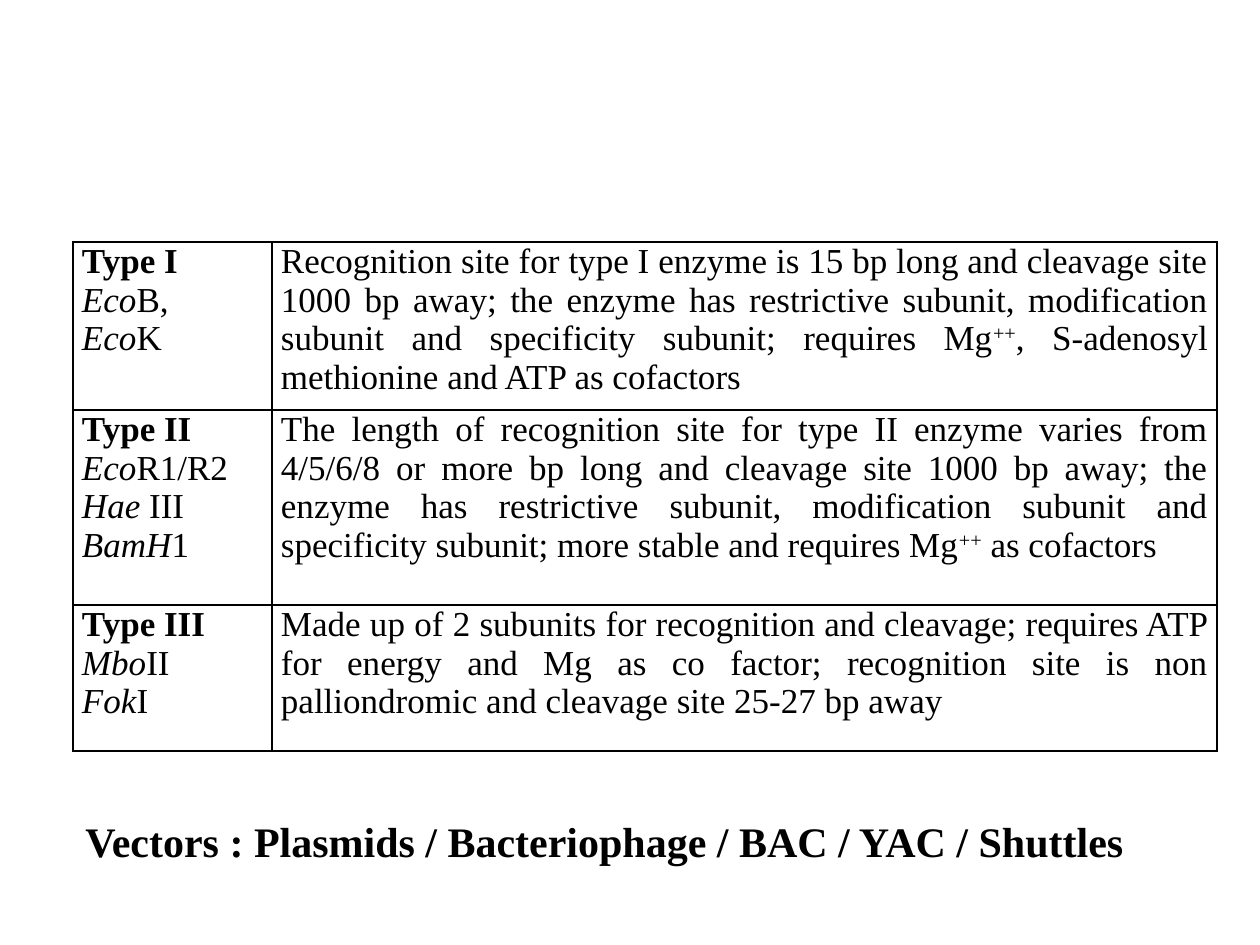
from lxml import etree
from pptx import Presentation
from pptx import util as u
from pptx.dml.color import RGBColor
from pptx.enum import text
from pptx.oxml.ns import qn

COLORS = {"ink": "000000"}
FONT = "Times New Roman"
PX = 914400 / 126

# Each paragraph is a list of (words, style) runs.
ENZYMES = [
    ([[("Type I", "bold")],
      [("Eco", "italic"), ("B, ", "")],
      [("Eco", "italic"), ("K", "")]],
     [[("Recognition site for type I enzyme is 15 bp long and cleavage site 1000 bp away; "
        "the enzyme has restrictive subunit, modification subunit and specificity subunit; "
        "requires Mg", ""), ("++", "super"),
       (", S-adenosyl methionine and ATP as cofactors", "")]]),
    ([[("Type II", "bold")],
      [("Eco", "italic"), ("R1/R2", "")],
      [("Hae", "italic"), (" III", "")],
      [("BamH", "italic"), ("1", "")]],
     [[("The length of recognition site for type II enzyme varies from 4/5/6/8 or more bp long "
        "and cleavage site 1000 bp away; the enzyme has restrictive subunit, modification "
        "subunit and specificity subunit; more stable and requires Mg", ""), ("++", "super"),
       (" as cofactors", "")]]),
    ([[("Type III", "bold")],
      [("Mbo", "italic"), ("II", "")],
      [("Fok", "italic"), ("I", "")]],
     [[("Made up of 2 subunits for recognition and cleavage; requires ATP for energy and Mg "
        "as co factor; recognition site is non palliondromic and cleavage site 25-27 bp away",
        "")]]),
]
VECTORS = [[("Vectors : Plasmids / Bacteriophage / BAC / YAC / Shuttles", "bold")]]

LEFT, TABLE_TOP = 73, 242
COL_WIDTHS = [199, 945]
ROW_HEIGHTS = [168, 195, 146]
VECTORS_BOX = (73, 809, 1134, 64)


def px(n):
    return u.Emu(round(n * PX))


def write(tf, paragraphs, size=20, align=None):
    for i, runs in enumerate(paragraphs):
        p = tf.paragraphs[0] if i == 0 else tf.add_paragraph()
        p.alignment = align
        for words, style in runs:
            r = p.add_run()
            r.text = words
            r.font.name, r.font.size = FONT, u.Pt(size)
            r.font.color.rgb = RGBColor.from_string(COLORS["ink"])
            r.font.bold = style == "bold"
            r.font.italic = style == "italic"
            if style == "super":
                r.font._element.set("baseline", "30000")


def set_borders(cell):
    """Draw 1 pt lines on all four sides; borders must precede the fill."""
    tc_pr = cell._tc.get_or_add_tcPr()
    for i, side in enumerate(("lnL", "lnR", "lnT", "lnB")):
        ln = etree.Element(qn(f"a:{side}"), w=str(u.Pt(1)))
        fill = etree.SubElement(ln, qn("a:solidFill"))
        etree.SubElement(fill, qn("a:srgbClr"), val=COLORS["ink"])
        tc_pr.insert(i, ln)


def add_enzyme_table(s):
    table = s.shapes.add_table(
        len(ENZYMES), len(COL_WIDTHS), px(LEFT), px(TABLE_TOP),
        px(sum(COL_WIDTHS)), px(sum(ROW_HEIGHTS))).table
    table.first_row = table.horz_banding = False
    for col, width in zip(table.columns, COL_WIDTHS):
        col.width = px(width)
    for row, height, contents in zip(table.rows, ROW_HEIGHTS, ENZYMES):
        row.height = px(height)
        for cell, paragraphs in zip(row.cells, contents):
            cell.margin_left = cell.margin_right = px(9)
            cell.margin_top = cell.margin_bottom = 0
            cell.fill.background()
            set_borders(cell)
            write(cell.text_frame, paragraphs, align=text.PP_ALIGN.JUSTIFY)


def main():
    prs = Presentation()
    prs.slide_width, prs.slide_height = px(1260), px(945)
    s = prs.slides.add_slide(prs.slide_layouts[6])
    add_enzyme_table(s)
    tf = s.shapes.add_textbox(*map(px, VECTORS_BOX)).text_frame
    tf.word_wrap = True
    tf.auto_size = text.MSO_AUTO_SIZE.SHAPE_TO_FIT_TEXT
    write(tf, VECTORS, size=24)
    prs.save("out.pptx")


if __name__ == "__main__":
    main()
